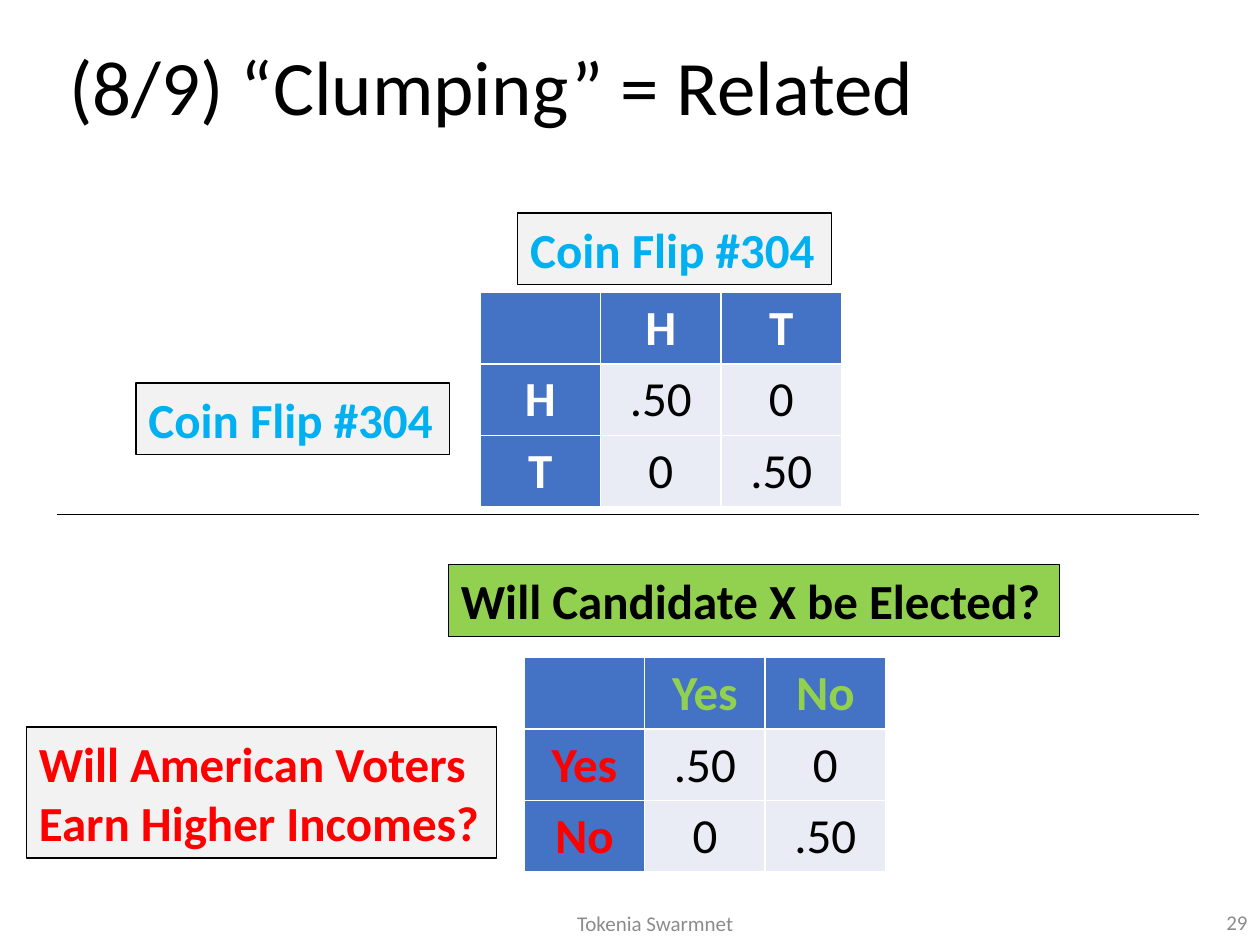
from dataclasses import dataclass

from lxml import etree
from pptx import Presentation
from pptx.dml.color import RGBColor as Rgb
from pptx.enum.shapes import MSO_CONNECTOR as Link, MSO_SHAPE as Shape
from pptx.enum.text import MSO_ANCHOR as Anchor, MSO_AUTO_SIZE as Auto, PP_ALIGN as Align
from pptx.oxml.ns import qn
from pptx.util import Inches, Pt


@dataclass(frozen=True)
class Theme:
    font: str = "Calibri"
    title: int = 44
    body: int = 28
    foot: int = 12
    black: str = "000000"
    white: str = "FFFFFF"
    grey: str = "8C8C8C"
    pale: str = "F2F2F2"
    head: str = "4472C4"
    cell: str = "E9EBF5"
    green: str = "92D050"
    red: str = "FF0000"
    sky: str = "00B0F0"


theme = Theme()


def write(para, text, size, color, bold=False, align=Align.LEFT):
    para.alignment = align
    for i, line in enumerate(text.split("\n")):
        if i:
            para.add_line_break()
        run = para.add_run()
        run.text = line
        font = run.font
        font.name, font.size, font.bold = theme.font, Pt(size), bold
        font.color.rgb = Rgb.from_string(color)


deck = Presentation()
deck.slide_width, deck.slide_height = Inches(10), Inches(7.5)
slide = deck.slides.add_slide(deck.slide_layouts[6])
shapes = slide.shapes

# Title, footer and page number
plain = [
    ("(8/9) “Clumping” = Related", (0.45, 0.15, 8.62, 1.14), theme.title, theme.black, Align.LEFT),
    ("Tokenia Swarmnet", (3.51, 7.13, 3.38, 0.4), theme.foot, theme.grey, Align.CENTER),
    ("29", (7.75, 7.12, 2.25, 0.4), theme.foot, theme.grey, Align.RIGHT),
]
for text, at, size, color, align in plain:
    frame = shapes.add_textbox(*map(Inches, at)).text_frame
    frame.word_wrap = True
    frame.vertical_anchor = Anchor.MIDDLE
    para = frame.paragraphs[0]
    para.line_spacing = 0.9 if size == theme.title else 1.0
    write(para, text, size, color, align=align)

# Joint outcome tables: corner, labels, colours of top and side labels
grids = [
    (3.81, 2.32, ("H", "T"), theme.white, theme.white),
    (4.16, 5.22, ("Yes", "No"), theme.green, theme.red),
]
for left, top, names, over, side in grids:
    table = shapes.add_table(
        3, 3, Inches(left), Inches(top), Inches(2.87), Inches(1.7)
    ).table
    table.first_col = True
    table.horz_banding = False
    rows = [("", *names), (names[0], ".50", "0"), (names[1], "0", ".50")]
    for r, row in enumerate(rows):
        for c, text in enumerate(row):
            label = r == 0 or c == 0
            color = over if r == 0 else side if c == 0 else theme.black
            cell = table.cell(r, c)
            cell.fill.solid()
            cell.fill.fore_color.rgb = Rgb.from_string(theme.head if label else theme.cell)
            if text:
                para = cell.text_frame.paragraphs[0]
                write(para, text, theme.body, color, label, Align.CENTER)

# Framed questions beside and above the tables
boxes = [
    ("Will Candidate X be Elected?", (3.56, 4.48, 4.85, 0.57), theme.green, theme.black),
    ("Will American Voters\nEarn Higher Incomes?", (0.21, 5.77, 3.73, 1.04), theme.pale, theme.red),
    ("Coin Flip #304", (1.08, 3.04, 2.49, 0.57), theme.pale, theme.sky),
    ("Coin Flip #304", (4.11, 1.69, 2.49, 0.57), theme.pale, theme.sky),
]
for text, at, fill, color in boxes:
    box = shapes.add_shape(Shape.RECTANGLE, *map(Inches, at))
    box.shadow.inherit = False
    box.fill.solid()
    box.fill.fore_color.rgb = Rgb.from_string(fill)
    box.line.color.rgb = Rgb.from_string(theme.black)
    box.line.width = Pt(0.75)
    frame = box.text_frame
    frame.word_wrap = False
    frame.auto_size = Auto.SHAPE_TO_FIT_TEXT
    frame.vertical_anchor = Anchor.TOP
    write(frame.paragraphs[0], text, theme.body, color, True)

# Rule between the two cases
rule = shapes.add_connector(
    Link.STRAIGHT, Inches(0.45), Inches(4.08), Inches(9.52), Inches(4.08)
)
rule.line.color.rgb = Rgb.from_string(theme.black)
rule.line.width = Pt(0.5)
etree.SubElement(rule._element.spPr, qn("a:effectLst"))

deck.save("out.pptx")
